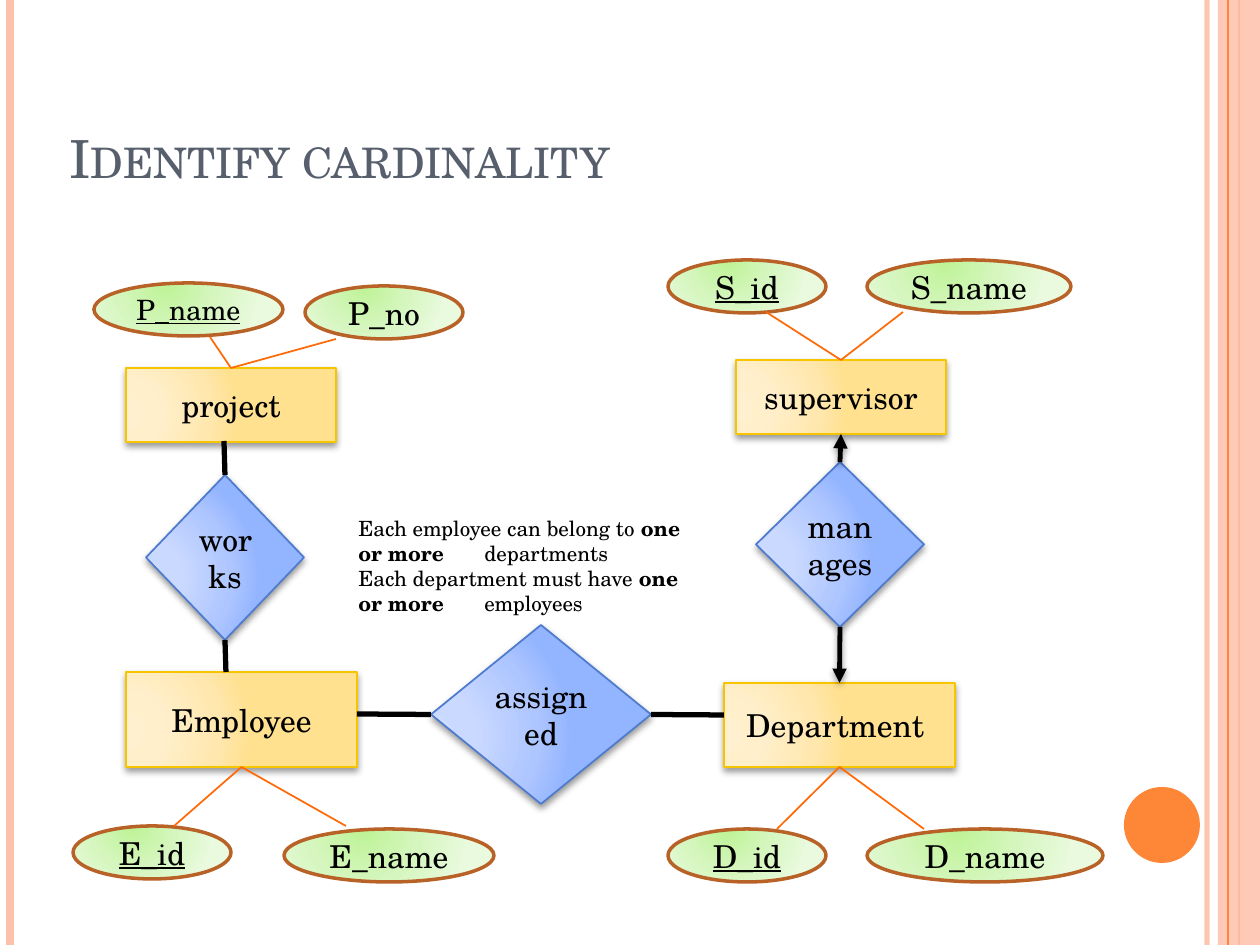
from dataclasses import dataclass
from typing import Optional, Union

from lxml import etree
from pptx import Presentation, util as u
from pptx.dml.color import RGBColor
from pptx.enum import shapes, text
from pptx.oxml import ns

PX = 914400 / 126
FONT = "TeX Gyre Schola"
TOP, LEFT, BOTTOM, RIGHT = range(4)
HEX = {
    "pale": "FEC2AC", "orange": "FE8637", "link": "FF6A08", "title": "575F6D", "ink": "000000",
    "entity": "F7C500", "attr": "B96228", "bond": "4E7BCE",
}
WARM = {0: "FFF0CF", 30: "FFEFCB", 75: "FFE7AE", 100: "FFE190"}
GREEN = {0: "BDF395", 50: "D5F6BE", 100: "EAFADF"}
BLUE = {0: "CEDCFF", 30: "CAD9FF", 75: "AEC6FF", 100: "93B4FF"}
SIDE = (-20, 62, 120, 38)
ABOVE = (38, -20, 62, 120)


@dataclass
class Style:
    form: int
    stops: dict
    focus: tuple
    edge: str
    width: float
    shade: bool


@dataclass
class Node:
    label: str
    style: Style
    x: int
    y: int
    w: int
    h: int = 53
    size: int = 18
    key: bool = False

    def site(self, side: int) -> tuple:
        dx, dy = ((1, 0), (0, 1), (1, 2), (2, 1))[side]
        return self.x + self.w * dx / 2, self.y + self.h * dy / 2


@dataclass
class Port:
    name: str
    side: int


@dataclass
class Link:
    start: Union[Port, tuple]
    end: Union[Port, tuple]
    color: str = "link"
    width: float = 1
    arrow: bool = False


ENTITY = Style(shapes.MSO_SHAPE.RECTANGLE, WARM, SIDE, "entity", 1, True)
ATTR = Style(shapes.MSO_SHAPE.OVAL, GREEN, ABOVE, "attr", 2, False)
BOND = Style(shapes.MSO_SHAPE.DIAMOND, BLUE, SIDE, "bond", 1, True)

NODES = [
    Node("Employee", ENTITY, 126, 672, 231, 95),
    Node("Department ", ENTITY, 724, 683, 231, 84),
    Node("project", ENTITY, 126, 368, 210, 74),
    Node("supervisor", ENTITY, 736, 360, 210, 74),
    Node("P_name", ATTR, 94, 283, 189, size=16, key=True),
    Node("E_name", ATTR, 284, 829, 210),
    Node("S_id", ATTR, 668, 260, 158, key=True),
    Node("S_name", ATTR, 867, 260, 204),
    Node("D_id", ATTR, 668, 829, 158, key=True),
    Node("D_name", ATTR, 867, 829, 236),
    Node("E_id", ATTR, 73, 826, 158, key=True),
    Node("P_no", ATTR, 305, 286, 158),
    Node("works", BOND, 146, 475, 158, 165),
    Node("assigned", BOND, 431, 625, 220, 179),
    Node("manages", BOND, 756, 462, 168, 165),
]
# Entity side, then the points where its attribute lines end
FANS = [
    (Port("project", TOP), (210, 337), (336, 339)),
    (Port("supervisor", TOP), (766, 312), (903, 312)),
    (Port("Department ", BOTTOM), (777, 829), (924, 829)),
    (Port("Employee", BOTTOM), (174, 826), (346, 826)),
]
BONDS = [
    Link(Port("manages", TOP), Port("supervisor", BOTTOM), "ink", 2.75, True),
    Link(Port("manages", BOTTOM), Port("Department ", TOP), "ink", 2.75, True),
    Link((357, 714), Port("assigned", LEFT), "ink", 3),
    Link(Port("assigned", RIGHT), (724, 715), "ink", 3),
    Link((224, 441), Port("works", TOP), "ink", 3),
    Link(Port("works", BOTTOM), (226, 672), "ink", 3),
]
NOTE = [
    ("Each employee can belong to ", "one or more ", "\tdepartments"),
    ("Each department must have ", "one or more ", "\temployees"),
]


def px(n: float) -> int:
    return round(n * PX)


def rgb(name: str) -> RGBColor:
    return RGBColor.from_string(HEX[name])


def sub(parent, tag: str, **attrs):
    return etree.SubElement(parent, ns.qn(tag), {k: str(v) for k, v in attrs.items()})


def fade(shape, part: str, pct: int) -> None:
    """Set the opacity of a solid fill or line, in percent."""
    for clr in shape.element.spPr.findall(part + ns.qn("a:solidFill") + "/" + ns.qn("a:srgbClr")):
        sub(clr, "a:alpha", val=pct * 1000)


def blend(shape, stops: dict, focus: tuple) -> None:
    """Fill with a circular gradient around a focus rectangle."""
    grad = etree.Element(ns.qn("a:gradFill"), {"rotWithShape": "1"})
    row = sub(grad, "a:gsLst")
    for pos, tone in stops.items():
        sub(sub(row, "a:gs", pos=pos * 1000), "a:srgbClr", val=tone)
    rect = dict(zip("ltrb", (n * 1000 for n in focus)))
    sub(sub(grad, "a:path", path="circle"), "a:fillToRect", **rect)
    shape.element.spPr.insert(2, grad)


def shadow(effect, pct: int, dist: float) -> None:
    drop = sub(effect, "a:outerShdw", blurRad=u.Pt(4), dist=u.Pt(dist), dir=5400000, rotWithShape=0)
    sub(sub(drop, "a:srgbClr", val=HEX["ink"]), "a:alpha", val=pct * 1000)


def pad(frame, anchor) -> None:
    frame.word_wrap = True
    frame.vertical_anchor = anchor
    frame.margin_left = frame.margin_right = u.Inches(0.05)
    frame.margin_top = frame.margin_bottom = u.Inches(0.05)


def ink(run, size: int, color: str = "ink", bold: Optional[bool] = None) -> None:
    run.font.name, run.font.size, run.font.bold = FONT, u.Pt(size), bold
    run.font.color.rgb = rgb(color)


def draw_line(slide, start: tuple, end: tuple, color: str, width: float):
    ends = [px(n) for n in (*start, *end)]
    line = slide.shapes.add_connector(shapes.MSO_CONNECTOR.STRAIGHT, *ends)
    line.line.color.rgb, line.line.width = rgb(color), u.Pt(width)
    return line, sub(line.element.spPr, "a:effectLst")


def draw_node(slide, node: Node):
    look = node.style
    shape = slide.shapes.add_shape(look.form, px(node.x), px(node.y), px(node.w), px(node.h))
    shape.line.color.rgb, shape.line.width = rgb(look.edge), u.Pt(look.width)
    blend(shape, look.stops, look.focus)
    shape.shadow.inherit = False
    if look.shade:
        shadow(shape.element.spPr.find(ns.qn("a:effectLst")), 40, 2)
    frame = shape.text_frame
    pad(frame, text.MSO_ANCHOR.MIDDLE)
    frame.text = node.label
    para = frame.paragraphs[0]
    para.alignment = text.PP_ALIGN.CENTER
    ink(para.runs[0], node.size)
    para.runs[0].font.underline = node.key or None
    return shape


def draw_link(slide, link: Link, nodes: dict, forms: dict) -> None:
    start, end = (nodes[p.name].site(p.side) if isinstance(p, Port) else p
                  for p in (link.start, link.end))
    line, effect = draw_line(slide, start, end, link.color, link.width)
    for port, join in ((link.start, line.begin_connect), (link.end, line.end_connect)):
        if isinstance(port, Port):
            join(forms[port.name], port.side)
    if link.arrow:
        sub(line.line._get_or_add_ln(), "a:tailEnd", type="triangle")
        shadow(effect, 42, 1.6)


def draw_frame(slide) -> None:
    """Draw the side stripes and the disc."""
    for x, color, width in ((1207, "pale", 3), (10, "pale", 4.5), (1239, "orange", 1.5)):
        line, _ = draw_line(slide, (x, 0), (x, 945), color, width)
        if x == 1207:
            fade(line, ns.qn("a:ln") + "/", 93)
    for form, box, color in ((shapes.MSO_SHAPE.RECTANGLE, (1218, 0, 42, 945), "pale"),
                             (shapes.MSO_SHAPE.OVAL, (1124, 787, 76, 76), "orange")):
        shape = slide.shapes.add_shape(form, *map(px, box))
        shape.fill.solid()
        shape.fill.fore_color.rgb = rgb(color)
        shape.line.fill.background()
        shape.shadow.inherit = False
        if color == "pale":
            fade(shape, "", 87)
    draw_line(slide, (1228, 0), (1228, 945), "orange", 0.75)


def draw_text(slide) -> None:
    title = slide.shapes.add_textbox(px(63), px(38), px(1029), px(157)).text_frame
    pad(title, text.MSO_ANCHOR.BOTTOM)
    title.text = "Identify cardinality"
    run = title.paragraphs[0].runs[0]
    ink(run, 30, "title")
    run.font._element.set("cap", "small")
    note = slide.shapes.add_textbox(px(352), px(509), px(350), px(117)).text_frame
    pad(note, text.MSO_ANCHOR.TOP)
    for i, parts in enumerate(NOTE):
        para = note.add_paragraph() if i else note.paragraphs[0]
        for j, part in enumerate(parts):
            run = para.add_run()
            run.text = part
            ink(run, 12, bold=j == 1)


def main() -> None:
    deck = Presentation()
    deck.slide_width, deck.slide_height = px(1260), px(945)
    slide = deck.slides.add_slide(deck.slide_layouts[6])
    draw_frame(slide)
    nodes = {n.label: n for n in NODES}
    forms = {n.label: draw_node(slide, n) for n in NODES}
    fans = [Link(port, tip) for port, *tips in FANS for tip in tips]
    for link in fans + BONDS:
        draw_link(slide, link, nodes, forms)
    draw_text(slide)
    deck.save("out.pptx")


if __name__ == "__main__":
    main()
